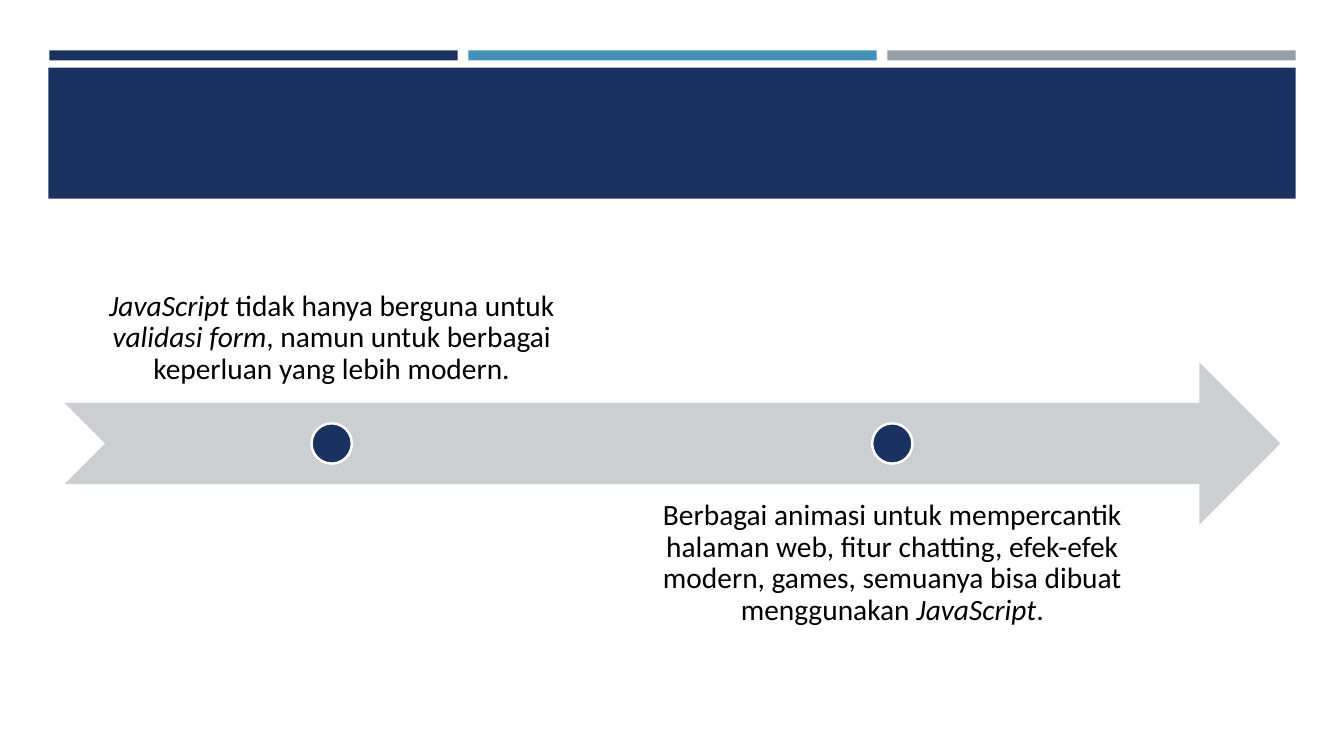
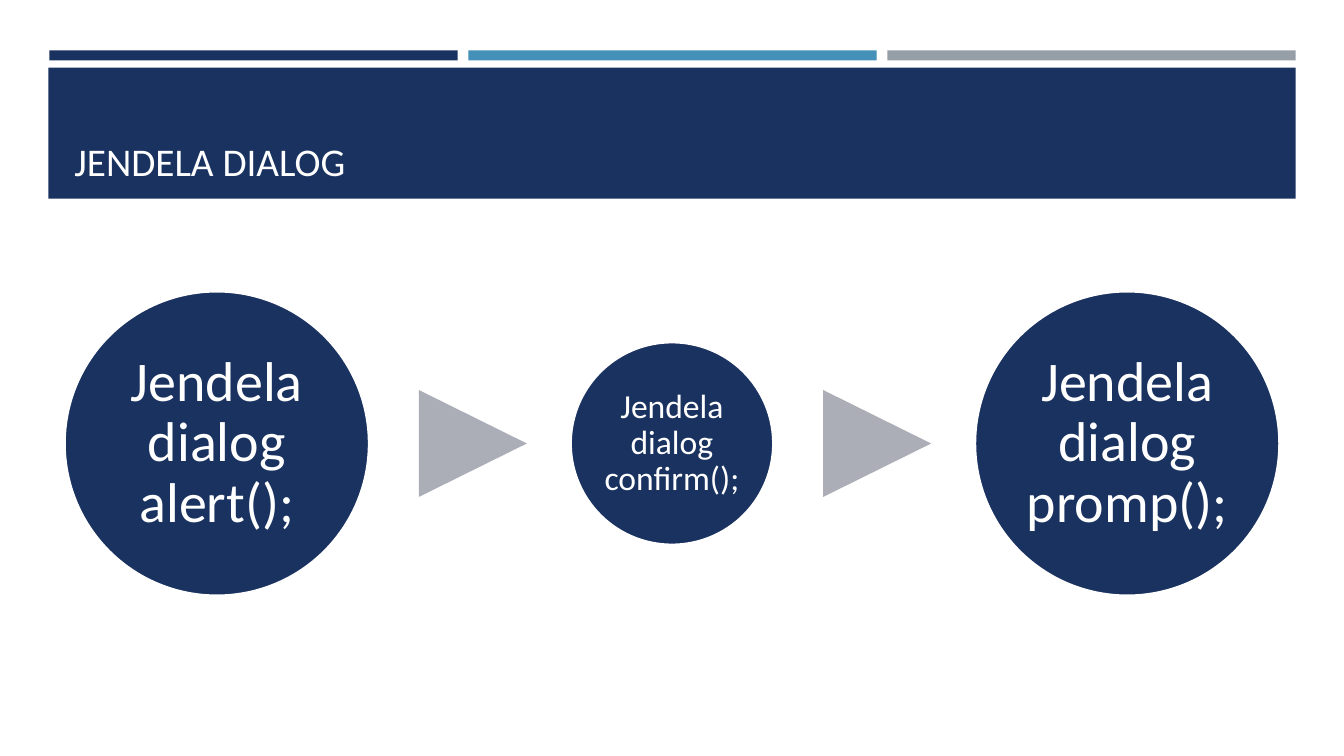
from pptx import Presentation
from pptx.dml.color import RGBColor
from pptx.enum import shapes, text
from pptx.util import Inches, Pt

NAVY = RGBColor(0x1A, 0x32, 0x60)
BLUE = RGBColor(0x45, 0x90, 0xB8)
GRAY = RGBColor(0x96, 0x9F, 0xA7)
PALE = RGBColor(0xCD, 0xCE, 0xD2)
SILVER = RGBColor(0xAC, 0xAE, 0xB7)
WHITE = RGBColor(0xFF, 0xFF, 0xFF)
BLACK = RGBColor(0, 0, 0)
FONT = "Calibri"
SHAPE = shapes.MSO_SHAPE
ANCHOR = text.MSO_ANCHOR
CENTER = text.PP_ALIGN.CENTER

LEFT, WIDTH, MID_Y = 0.64, 12.06, 4.4

STEPS = [
    ([("JavaScript", True), (" tidak hanya berguna untuk ", False),
      ("validasi form", True),
      (", namun untuk berbagai keperluan yang lebih modern.", False)],
     2.38, ANCHOR.BOTTOM),
    ([("Berbagai animasi untuk mempercantik halaman web, fitur chatting, "
       "efek-efek modern, games, semuanya bisa dibuat menggunakan ", False),
      ("JavaScript", True), (".", False)],
     4.8, ANCHOR.TOP),
]
DIALOGS = [
    ("Jendela dialog alert();", 3.02, 40, 0.06),
    ("Jendela dialog confirm();", 2.01, 24, 0.03),
    ("Jendela dialog promp();", 3.02, 40, 0.06),
]

prs = Presentation()
prs.slide_width, prs.slide_height = Inches(13.33), Inches(7.5)


def box(values):
    return [Inches(v) for v in values]


def add_shape(s, kind, at, fill, outlined=False):
    sp = s.shapes.add_shape(kind, *box(at))
    sp.shadow.inherit = False
    sp.fill.solid()
    sp.fill.fore_color.rgb = fill
    if outlined:
        sp.line.color.rgb = WHITE
        sp.line.width = Pt(1.75)
    else:
        sp.line.fill.background()
    return sp


def write(sp, runs, size, color, anchor, inset=None, align=CENTER, spacing=0.9):
    tf = sp.text_frame
    tf.word_wrap = True
    tf.vertical_anchor = anchor
    if inset is not None:
        tf.margin_left = tf.margin_right = Inches(inset)
        tf.margin_top = tf.margin_bottom = Inches(inset)
    p = tf.paragraphs[0]
    p.alignment = align
    p.line_spacing = spacing
    for words, italic in runs:
        r = p.add_run()
        r.text = words
        r.font.name = FONT
        r.font.size = Pt(size)
        r.font.italic = italic
        r.font.color.rgb = color


def new_slide(title=None):
    s = prs.slides.add_slide(prs.slide_layouts[6])
    for i, color in enumerate((NAVY, BLUE, GRAY)):
        add_shape(s, SHAPE.RECTANGLE, (0.49 + 4.155 * i, 0.5, 4.05, 0.1), color)
    add_shape(s, SHAPE.RECTANGLE, (0.48, 0.67, 12.37, 1.3), NAVY)
    if title:
        tb = s.shapes.add_textbox(*box((LEFT, 0.77, WIDTH, 1.11)))
        write(tb, [(title, False)], 28, WHITE, ANCHOR.BOTTOM,
              align=text.PP_ALIGN.LEFT, spacing=1.0)
    return s


s = new_slide()
arrow_h, step_w, pitch, dot = 1.61, 5.3, 5.56, 0.4
add_shape(s, SHAPE.NOTCHED_RIGHT_ARROW,
          (LEFT, MID_Y - arrow_h / 2, WIDTH, arrow_h), PALE)
for i, (runs, top, anchor) in enumerate(STEPS):
    x = LEFT + pitch * i
    tb = s.shapes.add_textbox(*box((x, top, step_w, arrow_h)))
    write(tb, runs, 21, BLACK, anchor, inset=0.16)
    add_shape(s, SHAPE.OVAL,
              (x + (step_w - dot) / 2, MID_Y - dot / 2, dot, dot), NAVY, True)

s = new_slide("JENDELA DIALOG")
tri_w, tri_h, gap_before, gap_after = 1.06, 1.07, 0.5, 0.44
x = LEFT
for i, (label, size, points, inset) in enumerate(DIALOGS):
    if i:
        x += gap_before
        tri = add_shape(s, SHAPE.ISOSCELES_TRIANGLE,
                        (x, MID_Y - tri_h / 2, tri_w, tri_h), SILVER)
        tri.rotation = 90
        x += tri_w + gap_after
    circle = add_shape(s, SHAPE.OVAL, (x, MID_Y - size / 2, size, size), NAVY, True)
    write(circle, [(label, False)], points, WHITE, ANCHOR.MIDDLE, inset)
    x += size

prs.save("out.pptx")
